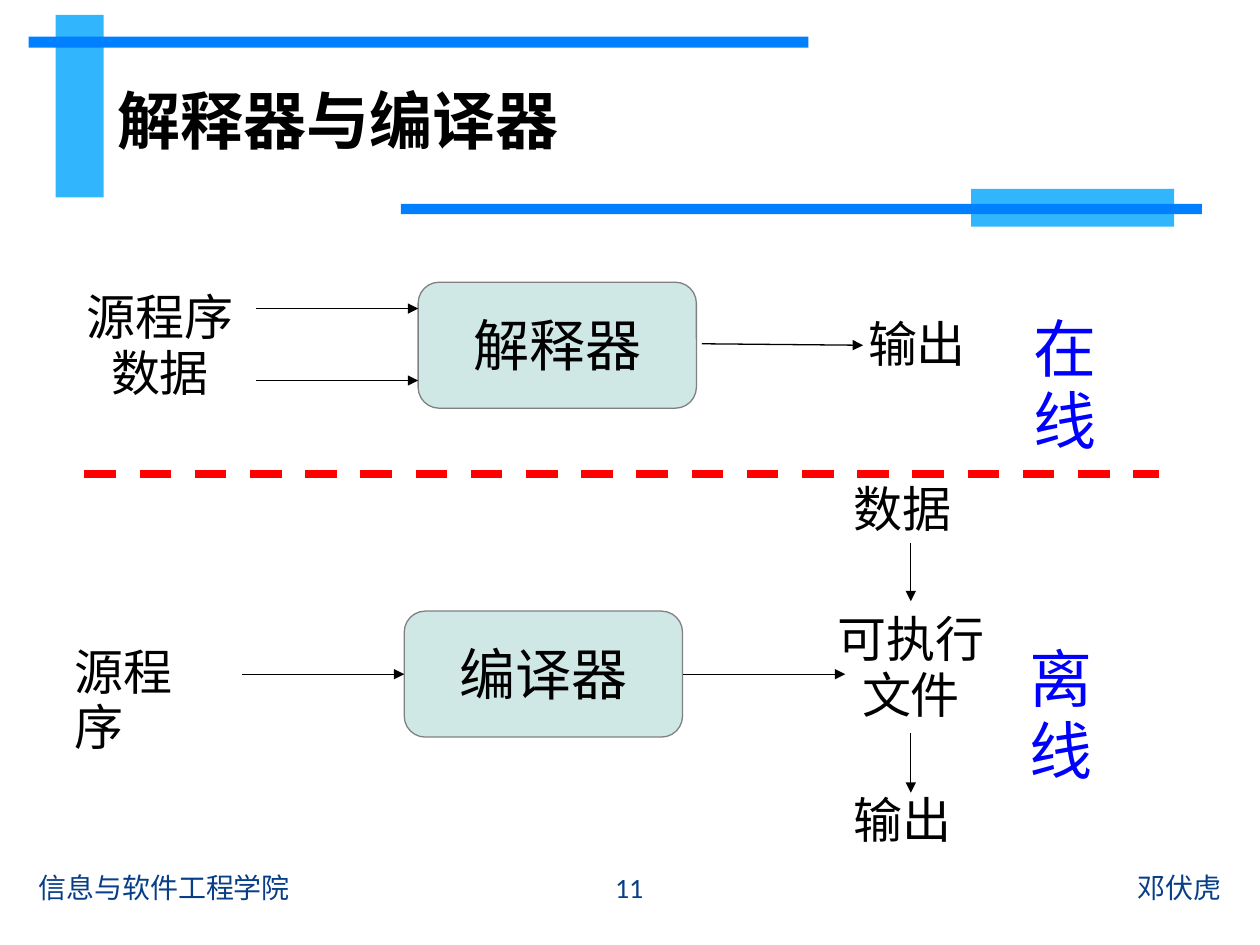
from dataclasses import dataclass

from lxml.etree import SubElement
from pptx import Presentation
from pptx.dml.color import RGBColor
from pptx.enum.dml import MSO_LINE_DASH_STYLE as Dash
from pptx.enum.shapes import MSO_CONNECTOR as Connector
from pptx.enum.shapes import MSO_SHAPE as Preset
from pptx.enum.text import MSO_ANCHOR as Anchor
from pptx.enum.text import PP_ALIGN as Align
from pptx.oxml.ns import qn
from pptx.util import Cm, Pt

SKY = RGBColor(0x31, 0xB6, 0xFD)
AZURE = RGBColor(0x00, 0x80, 0xFF)
NAVY = RGBColor(0x07, 0x3E, 0x87)
BLACK = RGBColor(0x00, 0x00, 0x00)
BLUE = RGBColor(0x00, 0x00, 0xFF)
RED = RGBColor(0xFF, 0x00, 0x00)
MINT = RGBColor(0xCF, 0xE7, 0xE5)
GRAY = RGBColor(0x80, 0x80, 0x80)
CJK_FONT = "Noto Sans CJK SC"


@dataclass(frozen=True)
class Box:
    left: float
    top: float
    width: float
    height: float

    def lengths(self) -> tuple:
        return Cm(self.left), Cm(self.top), Cm(self.width), Cm(self.height)


@dataclass(frozen=True)
class Style:
    size: int = 28
    color: RGBColor = BLACK
    font: str = CJK_FONT
    bold: bool = False
    align: Align = Align.LEFT
    anchor: Anchor = Anchor.TOP
    spacing: float = 0.95
    wrap: bool = False
    insets: tuple = (0.23, 0.18, 0.23, 0.1)


@dataclass(frozen=True)
class Label:
    box: Box
    lines: tuple
    style: Style = Style()


@dataclass(frozen=True)
class Bar:
    box: Box
    color: RGBColor


@dataclass(frozen=True)
class Line:
    start: tuple
    end: tuple
    color: RGBColor = BLACK
    width: float = 0.75
    arrow: bool = True


def page_style(size: int, color: RGBColor, font: str, align: Align = Align.LEFT,
               bold: bool = False) -> Style:
    return Style(size, color, font, bold, align, Anchor.MIDDLE, 1.0, True,
                 (0.25, 0.13, 0.25, 0.13))


def footer_style(align: Align) -> Style:
    return page_style(16, NAVY, "Calibri", align)


NODE = Style(size=32, align=Align.CENTER, anchor=Anchor.MIDDLE)
MODE = Style(size=36, color=BLUE)

BARS = (
    Bar(Box(1.12, 0.3, 0.97, 3.68), SKY),
    Bar(Box(0.58, 0.74, 15.72, 0.22), AZURE),
    Bar(Box(19.58, 3.81, 4.09, 0.76), SKY),
    Bar(Box(8.08, 4.11, 16.15, 0.21), AZURE),
)

NODES = (
    Label(Box(8.15, 12.32, 5.61, 2.54), ("编译器",), NODE),
    Label(Box(8.43, 5.69, 5.61, 2.54), ("解释器",), NODE),
)

LABELS = (
    Label(Box(14.35, 17.37, 10.52, 1.02), ("邓伏虎",), footer_style(Align.RIGHT)),
    Label(Box(0.53, 17.37, 10.52, 1.02), ("信息与软件工程学院",), footer_style(Align.LEFT)),
    Label(Box(11.07, 17.37, 3.23, 1.02), ("11",), footer_style(Align.CENTER)),
    Label(Box(2.11, 1.12, 19.61, 2.59), ("解释器与编译器",),
          page_style(36, BLACK, "Arial", bold=True)),
    Label(Box(1.27, 12.83, 3.33, 1.55), ("源程序",)),
    Label(Box(16.97, 9.55, 2.77, 1.55), ("数据",)),
    Label(Box(16.41, 12.17, 3.91, 2.84), ("可执行", "文件"), Style(align=Align.CENTER)),
    Label(Box(16.97, 15.82, 2.77, 1.55), ("输出",)),
    Label(Box(20.52, 12.83, 2.77, 1.55), ("离线",), MODE),
    Label(Box(1.27, 5.54, 3.91, 2.82), ("源程序", "数据"),
          Style(align=Align.CENTER, anchor=Anchor.MIDDLE)),
    Label(Box(17.27, 6.22, 2.77, 1.55), ("输出",)),
    Label(Box(20.6, 6.17, 2.77, 1.55), ("在线",), MODE),
)

LINES = (
    Line((4.88, 13.59), (8.15, 13.59)),
    Line((13.77, 13.59), (17.04, 13.59)),
    Line((18.36, 10.95), (18.36, 12.12)),
    Line((18.36, 14.78), (18.36, 15.98)),
    Line((5.16, 6.22), (8.43, 6.22)),
    Line((5.16, 7.67), (8.43, 7.67)),
    Line((14.15, 6.93), (17.4, 6.96)),
    Line((1.7, 9.55), (23.37, 9.55), RED, 4.5, False),
)


def write_text(shape, label: Label) -> None:
    style = label.style
    frame = shape.text_frame
    frame.word_wrap = style.wrap
    frame.vertical_anchor = style.anchor
    (frame.margin_left, frame.margin_top,
     frame.margin_right, frame.margin_bottom) = map(Cm, style.insets)
    for index, text in enumerate(label.lines):
        paragraph = frame.add_paragraph() if index else frame.paragraphs[0]
        paragraph.alignment = style.align
        paragraph.line_spacing = style.spacing
        run = paragraph.add_run()
        run.text = text
        run.font.size = Pt(style.size)
        run.font.bold = style.bold
        run.font.color.rgb = style.color
        run.font.name = style.font
        SubElement(run.font._element, qn("a:ea"), typeface=CJK_FONT)


def draw_shape(slide, preset: Preset, box: Box, fill: RGBColor):
    shape = slide.shapes.add_shape(preset, *box.lengths())
    shape.shadow.inherit = False
    shape.fill.solid()
    shape.fill.fore_color.rgb = fill
    shape.line.fill.background()
    return shape


def draw_node(slide, node: Label) -> None:
    shape = draw_shape(slide, Preset.FLOWCHART_ALTERNATE_PROCESS, node.box, MINT)
    shape.line.color.rgb = GRAY
    shape.line.width = Pt(0.75)
    write_text(shape, node)


def draw_label(slide, label: Label) -> None:
    write_text(slide.shapes.add_textbox(*label.box.lengths()), label)


def draw_line(slide, line: Line) -> None:
    ends = map(Cm, line.start + line.end)
    connector = slide.shapes.add_connector(Connector.STRAIGHT, *ends)
    connector.line.color.rgb = line.color
    connector.line.width = Pt(line.width)
    if line.arrow:
        SubElement(connector.line._get_or_add_ln(), qn("a:tailEnd"), type="triangle")
    else:
        connector.line.dash_style = Dash.DASH
    SubElement(connector._element.spPr, qn("a:effectLst"))


def main() -> None:
    presentation = Presentation()
    presentation.slide_width = Cm(25.4)
    presentation.slide_height = Cm(19.05)
    slide = presentation.slides.add_slide(presentation.slide_layouts[6])
    for bar in BARS:
        draw_shape(slide, Preset.RECTANGLE, bar.box, bar.color)
    for node in NODES:
        draw_node(slide, node)
    for label in LABELS:
        draw_label(slide, label)
    for line in LINES:
        draw_line(slide, line)
    presentation.save("out.pptx")


if __name__ == "__main__":
    main()
